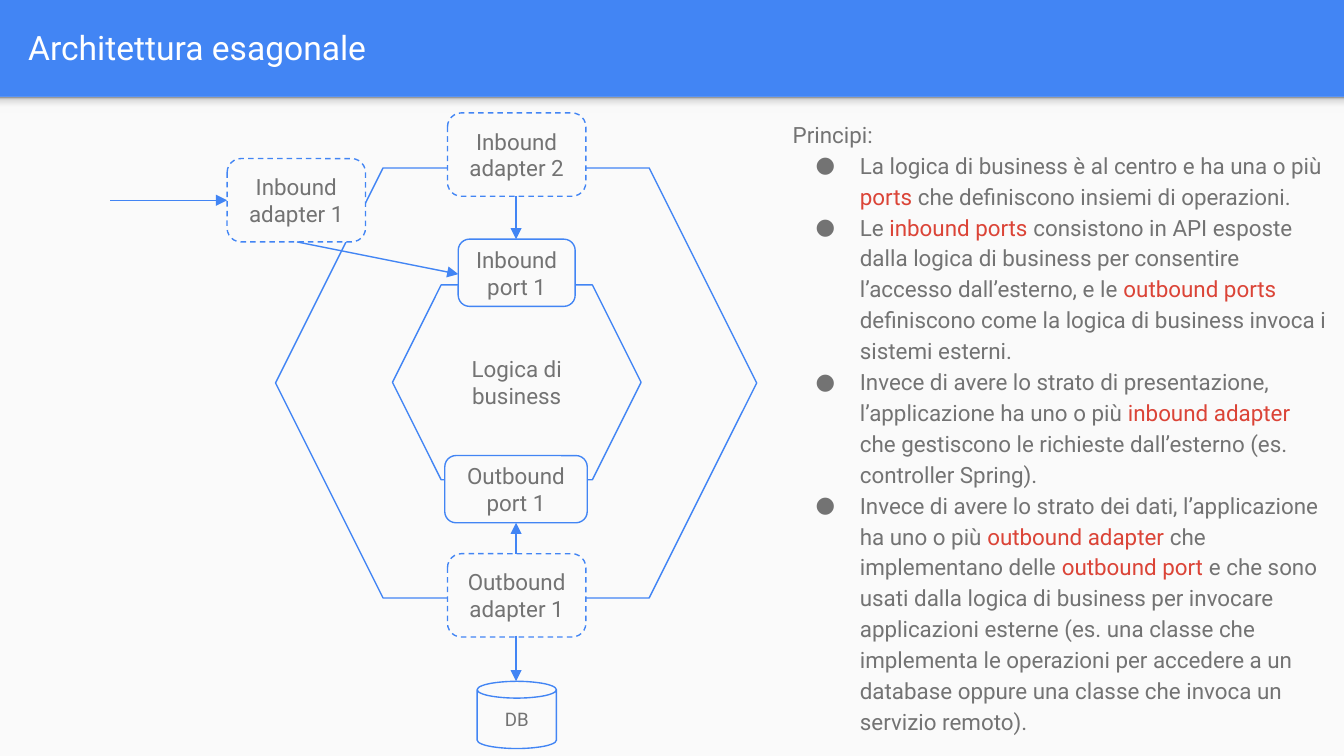
"""Build a slide that explains the hexagonal architecture with a diagram and its principles."""
from lxml import etree
from pptx import Presentation
from pptx.dml.color import RGBColor
from pptx.enum.dml import MSO_LINE
from pptx.enum.shapes import MSO_CONNECTOR, MSO_SHAPE
from pptx.enum.text import MSO_ANCHOR, MSO_AUTO_SIZE, PP_ALIGN
from pptx.oxml.ns import qn
from pptx.util import Inches, Pt

RECT, ROUNDED = MSO_SHAPE.RECTANGLE, MSO_SHAPE.ROUNDED_RECTANGLE
HEXAGON, CAN = MSO_SHAPE.HEXAGON, MSO_SHAPE.CAN
STRAIGHT, DASH = MSO_CONNECTOR.STRAIGHT, MSO_LINE.DASH
LEFT, CENTER = PP_ALIGN.LEFT, PP_ALIGN.CENTER
TOP, MIDDLE = MSO_ANCHOR.TOP, MSO_ANCHOR.MIDDLE
NO_FIT, GROW = MSO_AUTO_SIZE.NONE, MSO_AUTO_SIZE.SHAPE_TO_FIT_TEXT

FONT = "Roboto"
COLORS = {"blue": "4285F4", "paper": "FAFAFA", "text": "737373", "accent": "DB4437",
          "white": "FFFFFF"}
RGB = {name: RGBColor.from_string(value) for name, value in COLORS.items()}


def write(frame, paragraphs, size=12, color="text", align=CENTER, anchor=MIDDLE,
          fit=NO_FIT, spacing=1.0, bullets_from=None):
    """Fill a text frame; words between asterisks take the accent colour."""
    frame.word_wrap, frame.auto_size, frame.vertical_anchor = True, fit, anchor
    frame.margin_left = frame.margin_right = Inches(0.1)
    frame.margin_top = frame.margin_bottom = Inches(0.1)
    for row, text in enumerate(paragraphs):
        paragraph = frame.add_paragraph() if row else frame.paragraphs[0]
        paragraph.alignment, paragraph.line_spacing = align, spacing
        for part, words in enumerate(text.split("*")):
            run = paragraph.add_run()
            run.text = words
            run.font.name, run.font.size = FONT, Pt(size)
            run.font.color.rgb = RGB["accent" if part % 2 else color]
        if bullets_from is not None and row >= bullets_from:
            properties = paragraph._p.get_or_add_pPr()
            properties.set("marL", str(Inches(0.5)))
            properties.set("indent", str(Inches(-0.33)))
            bullet_color = etree.SubElement(properties, qn("a:buClr"))
            etree.SubElement(bullet_color, qn("a:srgbClr"), val=COLORS[color])
            etree.SubElement(properties, qn("a:buSzPts"), val=str(size * 100))
            etree.SubElement(properties, qn("a:buFont"), typeface=FONT)
            etree.SubElement(properties, qn("a:buChar"), char="●")


def add_block(kind, box, fill=None, line=None, dash=None):
    """Add a shape without shadow and with the given fill and outline."""
    block = slide.shapes.add_shape(kind, *map(Inches, box))
    block.shadow.inherit = False
    if fill:
        block.fill.solid()
        block.fill.fore_color.rgb = RGB[fill]
    else:
        block.fill.background()
    if line:
        block.line.color.rgb, block.line.width = RGB[line], Pt(0.75)
        if dash:
            block.line.dash_style = dash
    else:
        block.line.fill.background()
    return block


deck = Presentation()
deck.slide_width = Inches(10)
deck.slide_height = deck.slide_width * 9 // 16
slide = deck.slides.add_slide(deck.slide_layouts[5])
slide.background.fill.solid()
slide.background.fill.fore_color.rgb = RGB["blue"]

title = slide.shapes.title
title.left, title.top, title.width, title.height = map(Inches, (0.11, 0.02, 9.65, 0.66))
write(title.text_frame, ["Architettura esagonale"], size=18, color="white", align=LEFT)

add_block(RECT, (0, 0.72, 10, 4.91), fill="paper")
header_shade = add_block(RECT, (0, 0.72, 10, 0.12))
header_shade.fill.gradient()
header_shade.fill.gradient_angle = 90
shade_stops = header_shade._element.spPr.find(qn("a:gradFill")).find(qn("a:gsLst"))
shade_stops.clear()
for percent, shade in ((0, "F9F9F9"), (36, "F9F9F9"), (80, "DEDEDE"), (100, "999999")):
    stop = etree.SubElement(shade_stops, qn("a:gs"), pos=str(percent * 1000))
    etree.SubElement(stop, qn("a:srgbClr"), val=shade)

principles = slide.shapes.add_textbox(Inches(5.8), Inches(0.77), Inches(4.2), Inches(4.82))
write(principles.text_frame, [
    "Principi:",
    "La logica di business è al centro e ha una o più *ports* che definiscono insiemi di "
    "operazioni.",
    "Le *inbound ports* consistono in API esposte dalla logica di business per consentire "
    "l’accesso dall’esterno, e le *outbound ports* definiscono come la logica di business "
    "invoca i sistemi esterni.",
    "Invece di avere lo strato di presentazione, l’applicazione ha uno o più "
    "*inbound adapter* che gestiscono le richieste dall’esterno (es. controller Spring).",
    "Invece di avere lo strato dei dati, l’applicazione ha uno o più *outbound adapter* che "
    "implementano delle *outbound port* e che sono usati dalla logica di business per "
    "invocare applicazioni esterne (es. una classe che implementa le operazioni per accedere "
    "a un database oppure una classe che invoca un servizio remoto).",
], align=LEFT, anchor=TOP, fit=GROW, spacing=1.15, bullets_from=1)

add_block(HEXAGON, (2.05, 1.25, 3.58, 3.2), line="blue")
business_logic = add_block(HEXAGON, (2.92, 2.12, 1.85, 1.45), line="blue")
write(business_logic.text_frame, ["Logica di business"])
database = add_block(CAN, (3.55, 5.07, 0.59, 0.5), line="blue")
write(database.text_frame, ["DB"], size=10)

ADAPTER, PORT_HEIGHT = (1.03, 0.62), 0.5
for words, corner, size, dash in (
    (["Inbound", "adapter 1"], (1.69, 1.18), ADAPTER, DASH),
    (["Inbound", "adapter 2"], (3.33, 0.84), ADAPTER, DASH),
    (["Outbound", "adapter 1"], (3.33, 4.12), ADAPTER, DASH),
    (["Inbound", "port 1"], (3.41, 1.78), (0.87, PORT_HEIGHT), None),
    (["Outbound", "port 1"], (3.31, 3.39), (1.06, PORT_HEIGHT), None),
):
    component = add_block(ROUNDED, corner + size, fill="paper", line="blue", dash=dash)
    write(component.text_frame, words)

AXIS = 3.84
for start, end in (
    ((0.82, 1.49), (1.69, 1.49)),
    ((2.21, 1.8), (3.41, 2.04)),
    ((AXIS, 1.46), (AXIS, 1.78)),
    ((AXIS, 4.73), (AXIS, 5.07)),
    ((AXIS, 4.12), (AXIS, 3.89)),
):
    call = slide.shapes.add_connector(STRAIGHT, *map(Inches, start + end))
    call.line.color.rgb, call.line.width = RGB["blue"], Pt(0.75)
    etree.SubElement(call.line._get_or_add_ln(), qn("a:tailEnd"), type="triangle")
    etree.SubElement(call._element.spPr, qn("a:effectLst"))

deck.save("out.pptx")
